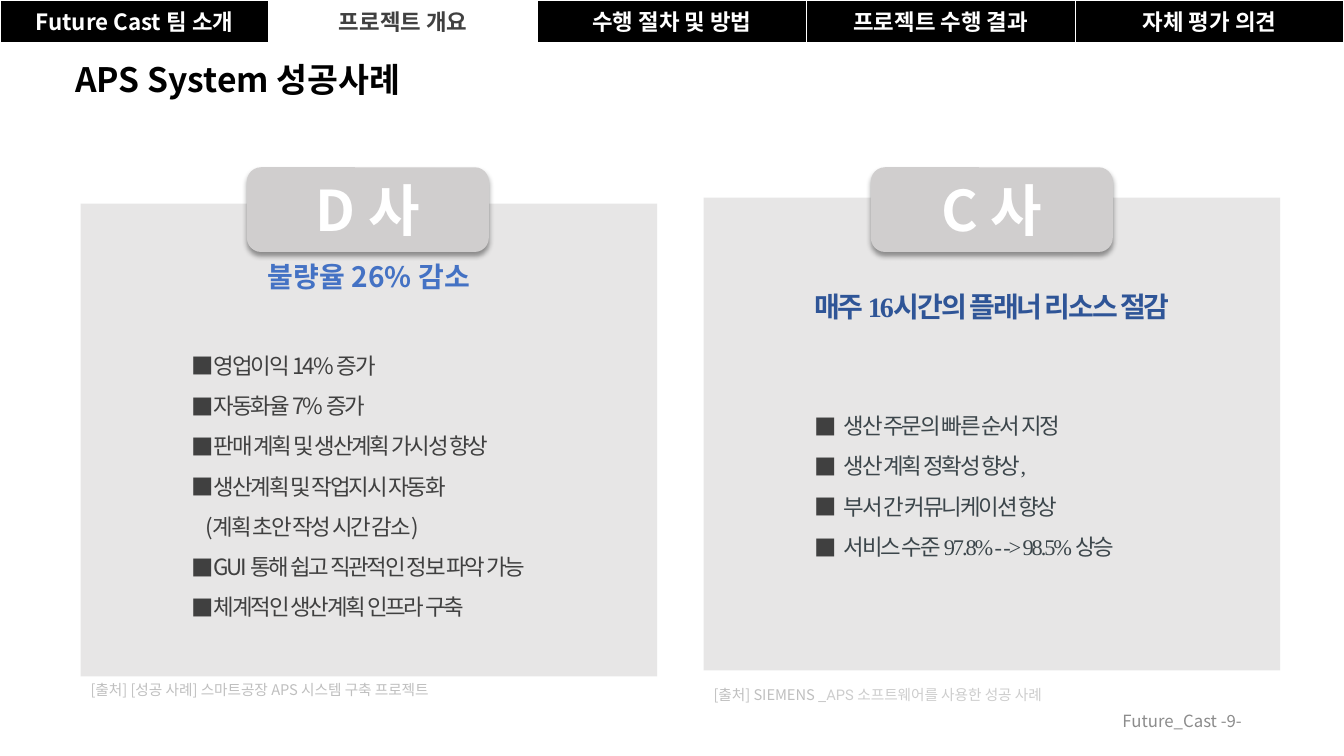
from pptx import Presentation
from pptx.dml.color import RGBColor
from pptx.enum.shapes import MSO_SHAPE as Shape
from pptx.enum.text import MSO_ANCHOR as Anchor, PP_ALIGN as Align
from pptx.oxml import parse_xml
from pptx.oxml.ns import nsdecls, qn
from pptx.util import Pt

BLACK = RGBColor(0x00, 0x00, 0x00)
WHITE = RGBColor(0xFF, 0xFF, 0xFF)
DARK = RGBColor(0x40, 0x40, 0x40)
SLATE = RGBColor(0x3C, 0x46, 0x4B)
PANEL = RGBColor(0xE7, 0xE6, 0xE6)
BADGE = RGBColor(0xD0, 0xCE, 0xCE)
BLUE = RGBColor(0x44, 0x72, 0xC4)
NAVY = RGBColor(0x2F, 0x55, 0x97)
SOURCE = RGBColor(0xBF, 0xBF, 0xBF)
SOURCE_LIGHT = RGBColor(0xCD, 0xCD, 0xCD)
FOOTER = RGBColor(0x8C, 0x8C, 0x8C)
SANS, SERIF = "Noto Sans CJK KR", "Times New Roman"


def add_text(para, text, size=16, color=DARK, font=SANS, bold=False,
             tight=False, align=Align.LEFT, spacing=None):
    para.alignment = align
    if spacing:
        para.line_spacing = spacing
    span = para.add_run()
    span.text = text
    span.font.size = Pt(size)
    span.font.bold = bold
    span.font.name = font
    span.font.color.rgb = color
    props = span.font._element
    props.find(qn("a:latin")).addnext(
        parse_xml(f'<a:ea {nsdecls("a")} typeface="{SANS}"/>'))
    if tight:
        props.set("spc", "-150")


def add_block(kind, left, top, width, height, fill=None):
    if kind is None:
        box = page.shapes.add_textbox(Pt(left), Pt(top), Pt(width), Pt(height))
    else:
        box = page.shapes.add_shape(kind, Pt(left), Pt(top), Pt(width), Pt(height))
        box.shadow.inherit = False
        box.fill.solid()
        box.fill.fore_color.rgb = fill
        box.line.fill.background()
        box.text_frame.vertical_anchor = Anchor.MIDDLE
    box.text_frame.word_wrap = True
    return box


deck = Presentation()
deck.slide_width, deck.slide_height = Pt(960), Pt(540)
page = deck.slides.add_slide(deck.slide_layouts[6])

# Navigation bar
tabs = ["Future Cast 팀 소개", "프로젝트 개요", "수행 절차 및 방법",
        "프로젝트 수행 결과", "자체 평가 의견"]
current_tab = 1
bar = page.shapes.add_table(1, len(tabs), 0, 0, Pt(960), Pt(26.6)).table
for index, label in enumerate(tabs):
    active = index == current_tab
    cell = bar.cell(0, index)
    cell.fill.solid()
    cell.fill.fore_color.rgb = WHITE if active else BLACK
    add_text(cell.text_frame.paragraphs[0], label, bold=True,
             color=DARK if active else WHITE, align=Align.CENTER)

# Title
title = add_block(None, 46.8, 38.9, 256.3, 36)
title.text_frame.word_wrap = False
add_text(title.text_frame.paragraphs[0], "APS System 성공사례",
         size=24, color=BLACK, bold=True)

# Case panels: bullet lines are (text, has bullet)
cases = [
    dict(left=57.6, top=145.4, name="D 사", badge_left=176.4,
         headline="불량율 26% 감소", headline_color=BLUE, headline_font=SANS,
         headline_tight=False, headline_spacing=None,
         font=SANS, color=DARK, hang=16, gap=32.4, bottom=3.6,
         lines=[("영업이익 14% 증가", True),
                ("자동화율 7% 증가", True),
                ("판매 계획 및 생산계획 가시성 향상", True),
                ("생산계획 및 작업지시 자동화", True),
                ("(계획 초안 작성 시간 감소)", False),
                ("GUI 통해 쉽고 직관적인 정보 파악 가능", True),
                ("체계적인 생산계획 인프라 구축", True)]),
    dict(left=502.6, top=141.1, name="C 사", badge_left=622.1,
         headline="매주 16시간의 플래너 리소스 절감", headline_color=NAVY,
         headline_font=SERIF, headline_tight=True, headline_spacing=1.5,
         font=SERIF, color=SLATE, hang=21, gap=54, bottom=28.8,
         lines=[("생산 주문의 빠른 순서 지정", True),
                ("생산 계획 정확성 향상,", True),
                ("부서 간 커뮤니케이션 향상", True),
                ("서비스 수준 97.8% - -> 98.5% 상승", True)]),
]
for case in cases:
    panel = add_block(Shape.RECTANGLE, case["left"], case["top"], 411.8, 337.7, PANEL)
    frame = panel.text_frame
    frame.margin_bottom = Pt(case["bottom"])
    add_text(frame.paragraphs[0], case["headline"], size=20, bold=True,
             color=case["headline_color"], font=case["headline_font"],
             tight=case["headline_tight"], align=Align.CENTER,
             spacing=case["headline_spacing"])
    for number, (text, bulleted) in enumerate(case["lines"]):
        para = frame.add_paragraph()
        props = para._p.get_or_add_pPr()
        if bulleted:
            props.set("marL", str(Pt(72 + case["hang"])))
            props.set("indent", str(-Pt(case["hang"])))
            for xml in (f'<a:buClr {nsdecls("a")}><a:srgbClr val="{DARK}"/></a:buClr>',
                        f'<a:buFont {nsdecls("a")} typeface="{SANS}"/>',
                        f'<a:buChar {nsdecls("a")} char="■"/>'):
                props.append(parse_xml(xml))
        else:
            props.set("marL", str(Pt(82)))
            props.set("indent", "0")
        if number == 0:
            para.space_before = Pt(case["gap"])
        add_text(para, text, color=case["color"], font=case["font"],
                 tight=True, spacing=1.5)

    # Company badge with a soft shadow below
    badge = add_block(Shape.ROUNDED_RECTANGLE, case["badge_left"], 119.5, 172.8, 60.5, BADGE)
    badge._element.spPr.find(qn("a:effectLst")).append(parse_xml(
        f'<a:outerShdw {nsdecls("a")} blurRad="{Pt(4)}" dist="{Pt(3)}" dir="5400000">'
        '<a:srgbClr val="000000"><a:alpha val="40000"/></a:srgbClr></a:outerShdw>'))
    add_text(badge.text_frame.paragraphs[0], case["name"], size=40,
             color=WHITE, bold=True, align=Align.CENTER)

# Source lines
left_source = add_block(None, 57.6, 483.1, 307.4, 20.2)
add_text(left_source.text_frame.paragraphs[0],
         "[출처] [성공 사례] 스마트공장 APS 시스템 구축 프로젝트", size=10.5, color=SOURCE)
right_source = add_block(None, 502.6, 486, 307.4, 20.2)
para = right_source.text_frame.paragraphs[0]
add_text(para, "[출처] SIEMENS _", size=10.5, color=SOURCE)
add_text(para, "APS 소프트웨어를 사용한 성공 사례", size=10.5,
         color=SOURCE_LIGHT, font="Roboto")

# Footer
footer = add_block(None, 678.2, 500.4, 216, 28.8)
footer.text_frame.vertical_anchor = Anchor.MIDDLE
add_text(footer.text_frame.paragraphs[0], "Future_Cast -9-", size=12,
         color=FOOTER, align=Align.RIGHT)

deck.save("out.pptx")
